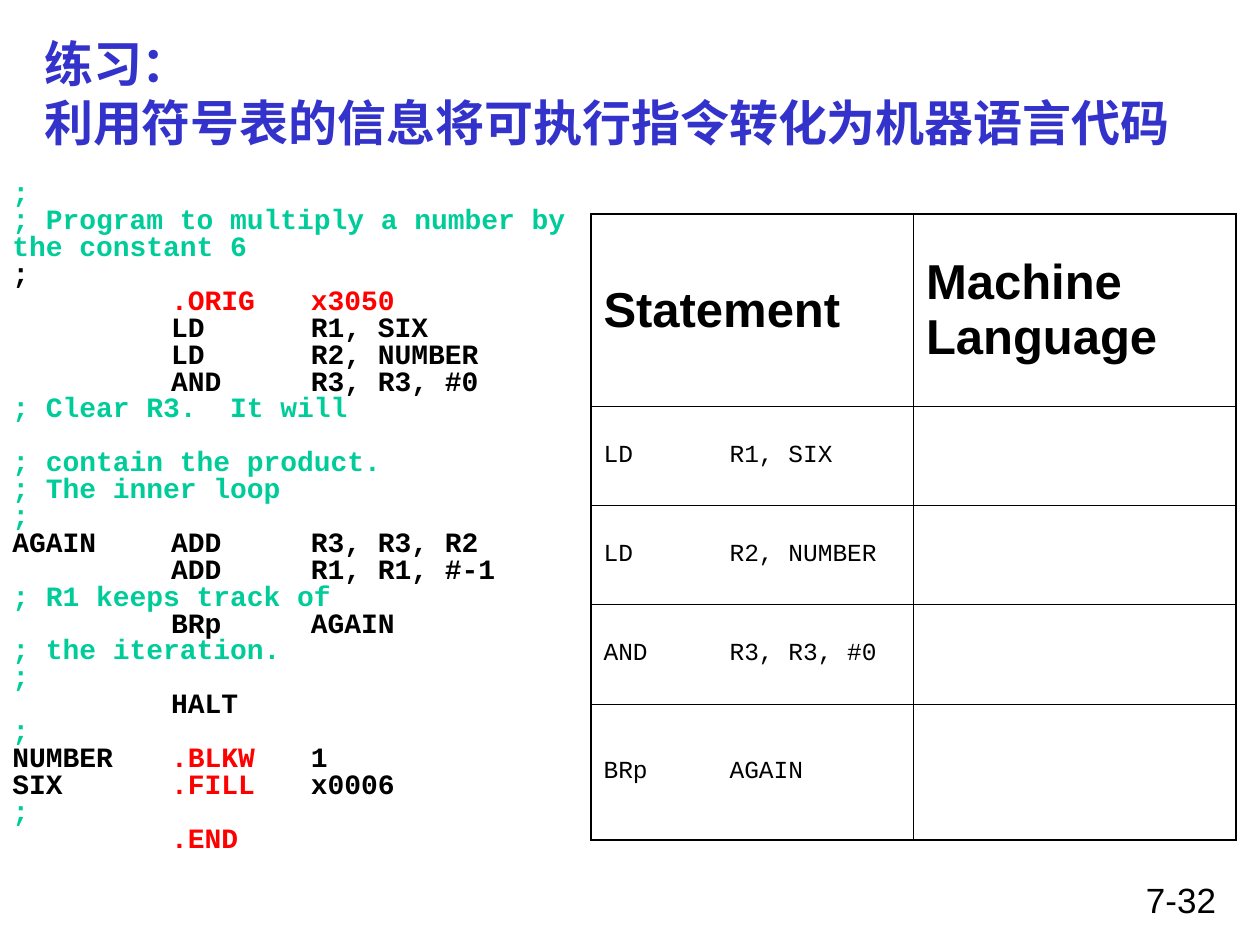
from collections import namedtuple

from lxml.etree import SubElement
from pptx import Presentation
from pptx.dml.color import RGBColor
from pptx.enum.text import MSO_ANCHOR, MSO_AUTO_SIZE, PP_ALIGN
from pptx.oxml.ns import qn
from pptx.util import Inches, Pt

Box = namedtuple("Box", "left top width height")
GRID = Inches(0.25)
BLACK, BLUE, GREEN, RED = "000000", "3333CC", "00CC99", "FF0000"
SANS, MONO = "Arial", "Courier New"

CODE_TABS = [0, 1.26, 2.37, 4.57, 5, 6, 7, 8]
STATEMENT_TABS = range(8)
PROGRAM = [
    [(GREEN, ";")],
    [(GREEN, "; Program to multiply a number by the constant 6")],
    [(BLACK, ";")],
    [(BLACK, "\t"), (RED, ".ORIG\tx3050")],
    [(BLACK, "\tLD\tR1, SIX")],
    [(BLACK, "\tLD\tR2, NUMBER")],
    [(BLACK, "\tAND\tR3, R3, #0\t"), (GREEN, "; Clear R3.  It will")],
    [(BLACK, "\t\t\t"), (GREEN, "; contain the product.")],
    [(GREEN, "; The inner loop")],
    [(GREEN, ";")],
    [(BLACK, "AGAIN\tADD\tR3, R3, R2")],
    [(BLACK, "\tADD\tR1, R1, #-1\t"), (GREEN, "; R1 keeps track of")],
    [(BLACK, "\tBRp\tAGAIN\t"), (GREEN, "; the iteration.")],
    [(GREEN, ";")],
    [(BLACK, "\tHALT")],
    [(GREEN, ";")],
    [(BLACK, "NUMBER\t"), (RED, ".BLKW\t"), (BLACK, "1")],
    [(BLACK, "SIX\t"), (RED, ".FILL\t"), (BLACK, "x0006")],
    [(GREEN, ";")],
    [(BLACK, "\t"), (RED, ".END")],
]
HEADINGS = ["Statement", "Machine Language"]
STATEMENTS = ["LD\tR1, SIX", "LD\tR2, NUMBER", "AND\tR3, R3, #0", "BRp\tAGAIN"]
COLUMN_SHARES = [0.5, 0.5]
ROW_SHARES = [0.31, 0.16, 0.16, 0.16, 0.22]
THICK, THIN = Pt(1.08), Pt(0.45)


def grid_box(column, row, columns, rows):
    return Box(*(int(n * GRID) for n in (column, row, columns, rows)))


def colour(value):
    return RGBColor.from_string(value)


def format_run(run, face, size, value, bold=False):
    run.font.name = face
    run.font.size = Pt(size)
    run.font.bold = bold
    run.font.color.rgb = colour(value)


def format_paragraph(paragraph, *style):
    for run in paragraph.runs:
        format_run(run, *style)


def set_tabs(paragraph, stops):
    tabs = SubElement(paragraph._p.get_or_add_pPr(), qn("a:tabLst"))
    for stop in stops:
        SubElement(tabs, qn("a:tab"), pos=str(Inches(stop)), algn="l")


def set_borders(cell, widths):
    properties = cell._tc.get_or_add_tcPr()
    for side, width in zip("LRTB", widths):
        line = SubElement(properties, qn(f"a:ln{side}"), w=str(width))
        fill = SubElement(line, qn("a:solidFill"))
        SubElement(fill, qn("a:srgbClr"), val=BLACK)


def place_title(slide, box):
    title = slide.shapes.title
    title.left, title.top, title.width, title.height = box
    frame = title.text_frame
    frame.text = "练习：\v利用符号表的信息将可执行指令转化为机器语言代码"
    frame.auto_size = MSO_AUTO_SIZE.NONE
    frame.vertical_anchor = MSO_ANCHOR.BOTTOM
    heading = frame.paragraphs[0]
    heading.alignment = PP_ALIGN.LEFT
    format_paragraph(heading, SANS, 28, BLUE, True)


def place_program(slide, box):
    frame = slide.shapes.add_textbox(*box).text_frame
    frame.word_wrap = True
    for index, parts in enumerate(PROGRAM):
        line = frame.add_paragraph() if index else frame.paragraphs[0]
        set_tabs(line, CODE_TABS)
        line.line_spacing = 0.8
        for value, text in parts:
            run = line.add_run()
            run.text = text
            format_run(run, MONO, 16, value, True)


def place_translation_table(slide, box):
    rows = [HEADINGS] + [[statement, ""] for statement in STATEMENTS]
    table = slide.shapes.add_table(len(rows), len(HEADINGS), *box).table
    for column, share in zip(table.columns, COLUMN_SHARES):
        column.width = int(box.width * share)
    for row, share in zip(table.rows, ROW_SHARES):
        row.height = int(box.height * share / sum(ROW_SHARES))
    last_row, last_column = len(rows) - 1, len(HEADINGS) - 1
    for r, texts in enumerate(rows):
        for c, text in enumerate(texts):
            cell = table.cell(r, c)
            cell.text = text
            cell.vertical_anchor = MSO_ANCHOR.MIDDLE
            thick_sides = (c == 0, c == last_column, r <= 1, r in (0, last_row))
            set_borders(cell, [THICK if thick else THIN for thick in thick_sides])
            cell.fill.background()
            content = cell.text_frame.paragraphs[0]
            set_tabs(content, STATEMENT_TABS)
            style = (MONO, 14, BLACK) if r else (SANS, 28, BLACK, True)
            format_paragraph(content, *style)


def place_page_number(slide, box):
    frame = slide.shapes.add_textbox(*box).text_frame
    frame.word_wrap = True
    frame.text = "7-32"
    number = frame.paragraphs[0]
    number.alignment = PP_ALIGN.RIGHT
    format_paragraph(number, SANS, 20, BLACK)


def main():
    presentation = Presentation()
    presentation.slide_width = 40 * GRID
    presentation.slide_height = 30 * GRID
    slide = presentation.slides.add_slide(presentation.slide_layouts[5])
    place_page_number(slide, grid_box(28.68, 27.68, 10.32, 1.68))
    place_title(slide, grid_box(1, 2.68, 38, 2.32))
    place_translation_table(slide, grid_box(18.76, 6.8, 20.48, 19.88))
    place_program(slide, grid_box(0, 5.56, 19.32, 21.68))
    presentation.save("out.pptx")


if __name__ == "__main__":
    main()
